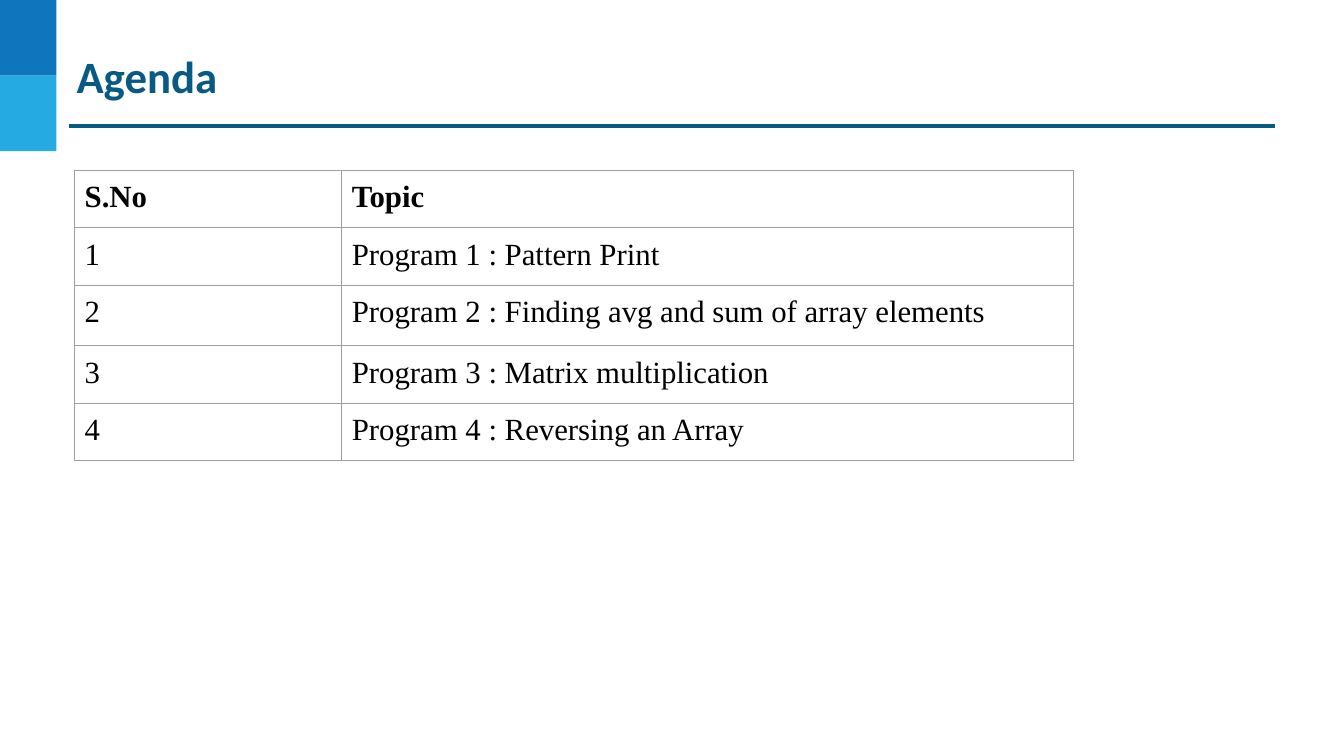
from lxml import etree
from pptx import Presentation
from pptx.dml.color import RGBColor
from pptx.enum.shapes import MSO_CONNECTOR, MSO_SHAPE
from pptx.enum.text import MSO_ANCHOR, MSO_AUTO_SIZE
from pptx.oxml.ns import qn
from pptx.util import Inches, Pt

RECTANGLE = MSO_SHAPE.RECTANGLE
STRAIGHT = MSO_CONNECTOR.STRAIGHT
TOP, MIDDLE = MSO_ANCHOR.TOP, MSO_ANCHOR.MIDDLE
FIT_SHAPE = MSO_AUTO_SIZE.SHAPE_TO_FIT_TEXT

TOPICS = [
    "Pattern Print",
    "Finding avg and sum of array elements",
    "Matrix multiplication",
    "Reversing an Array",
]


def color(value):
    return RGBColor.from_string(value)


class AgendaSlide:
    heading_font = "Calibri"
    table_font = "Times New Roman"
    heading_color = "095A82"
    text_color = "000000"
    cell_color = "FFFFFF"
    border_color = "9E9E9E"

    def __init__(self, presentation):
        self.slide = presentation.slides.add_slide(presentation.slide_layouts[6])

    def set_font(self, paragraph, name, size, font_color, bold):
        font = paragraph.font
        font.name, font.size, font.bold = name, Pt(size), bold
        font.color.rgb = color(font_color)

    def add_block(self, left, top, width, height, fill):
        shape = self.slide.shapes.add_shape(
            RECTANGLE, Inches(left), Inches(top), Inches(width), Inches(height))
        shape.shadow.inherit = False
        shape.fill.solid()
        shape.fill.fore_color.rgb = color(fill)
        shape.line.fill.background()

    def add_rule(self, left, right, y, width):
        line = self.slide.shapes.add_connector(
            STRAIGHT, Inches(left), Inches(y), Inches(right), Inches(y))
        line.line.color.rgb = color(self.heading_color)
        line.line.width = Pt(width)
        etree.SubElement(line._element.spPr, qn("a:effectLst"))

    def add_heading(self, text, left, top, width, height):
        box = self.slide.shapes.add_textbox(
            Inches(left), Inches(top), Inches(width), Inches(height))
        frame = box.text_frame
        frame.word_wrap = True
        frame.auto_size = FIT_SHAPE
        frame.vertical_anchor = MIDDLE
        frame.margin_left = frame.margin_right = Inches(0.02)
        frame.margin_top = frame.margin_bottom = Inches(0.02)
        frame.text = text
        self.set_font(frame.paragraphs[0], self.heading_font, 32, self.heading_color, True)

    def add_borders(self, cell):
        properties = cell._tc.get_or_add_tcPr()
        for index, side in enumerate(("a:lnL", "a:lnR", "a:lnT", "a:lnB")):
            border = etree.Element(qn(side), w=str(Pt(0.75)))
            fill = etree.SubElement(border, qn("a:solidFill"))
            etree.SubElement(fill, qn("a:srgbClr"), val=self.border_color)
            properties.insert(index, border)

    def add_table(self, rows, left, top, widths, heights):
        table = self.slide.shapes.add_table(
            len(rows), len(widths), Inches(left), Inches(top),
            Inches(sum(widths)), Inches(sum(heights))).table
        for column, width in zip(table.columns, widths):
            column.width = Inches(width)
        for row_index, (values, height) in enumerate(zip(rows, heights)):
            table.rows[row_index].height = Inches(height)
            for cell, value in zip(table.rows[row_index].cells, values):
                cell.text = value
                cell.vertical_anchor = TOP
                cell.margin_left = cell.margin_right = Inches(0.1)
                cell.margin_top = cell.margin_bottom = Inches(0.1)
                cell.fill.solid()
                cell.fill.fore_color.rgb = color(self.cell_color)
                self.add_borders(cell)
                self.set_font(cell.text_frame.paragraphs[0], self.table_font, 22,
                              self.text_color, row_index == 0)


def main():
    presentation = Presentation()
    presentation.slide_width = Inches(13.33)
    presentation.slide_height = Inches(7.5)
    agenda = AgendaSlide(presentation)

    # Corner blocks and heading rule
    for index, fill in enumerate(("0F75BD", "25AAE2")):
        agenda.add_block(0, index * 0.75, 0.56, 0.75, fill)
    agenda.add_rule(0.68, 12.65, 1.25, 2.25)

    # Heading
    agenda.add_heading("Agenda", 0.74, 0.46, 11.97, 0.58)

    # Topic table
    rows = [("S.No", "Topic")]
    rows += [(str(number), f"Program {number} : {topic}")
             for number, topic in enumerate(TOPICS, start=1)]
    agenda.add_table(rows, 0.74, 1.69, [2.65, 7.26], [0.57, 0.57, 0.6, 0.57, 0.57])

    presentation.save("out.pptx")


if __name__ == "__main__":
    main()
